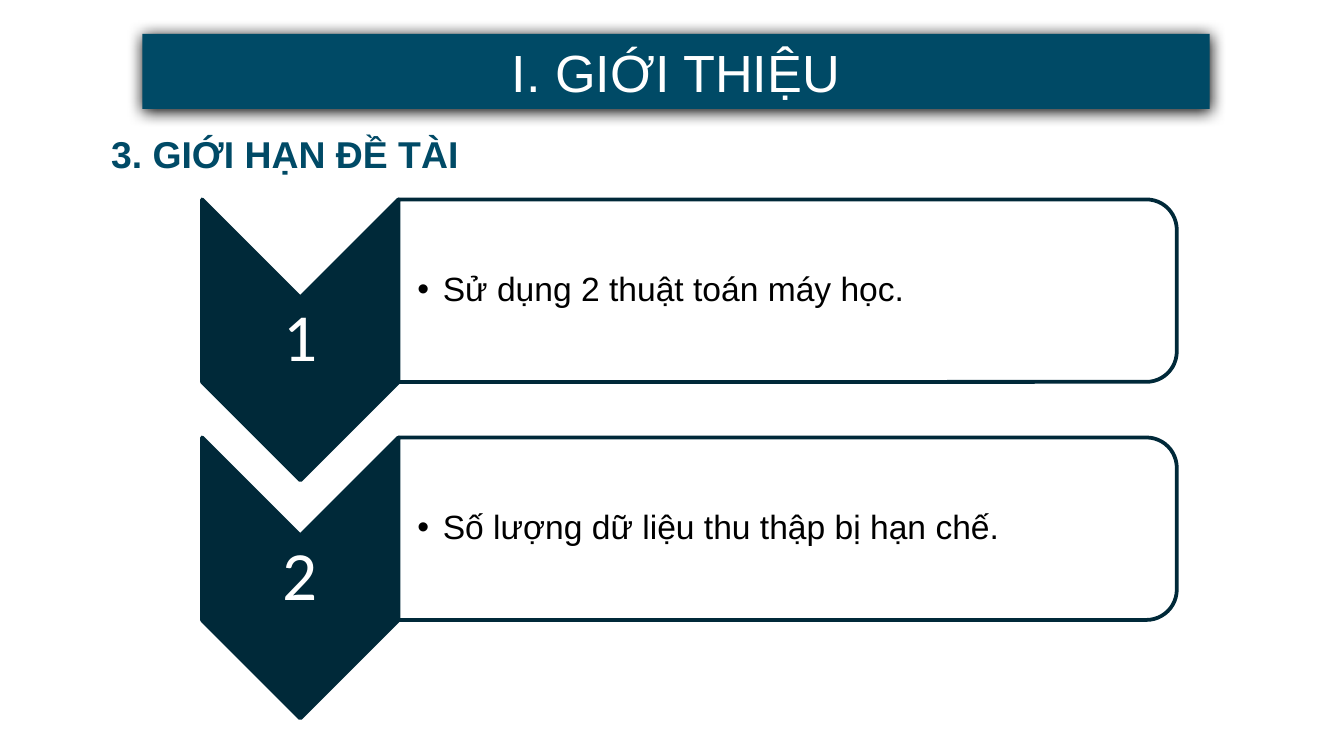
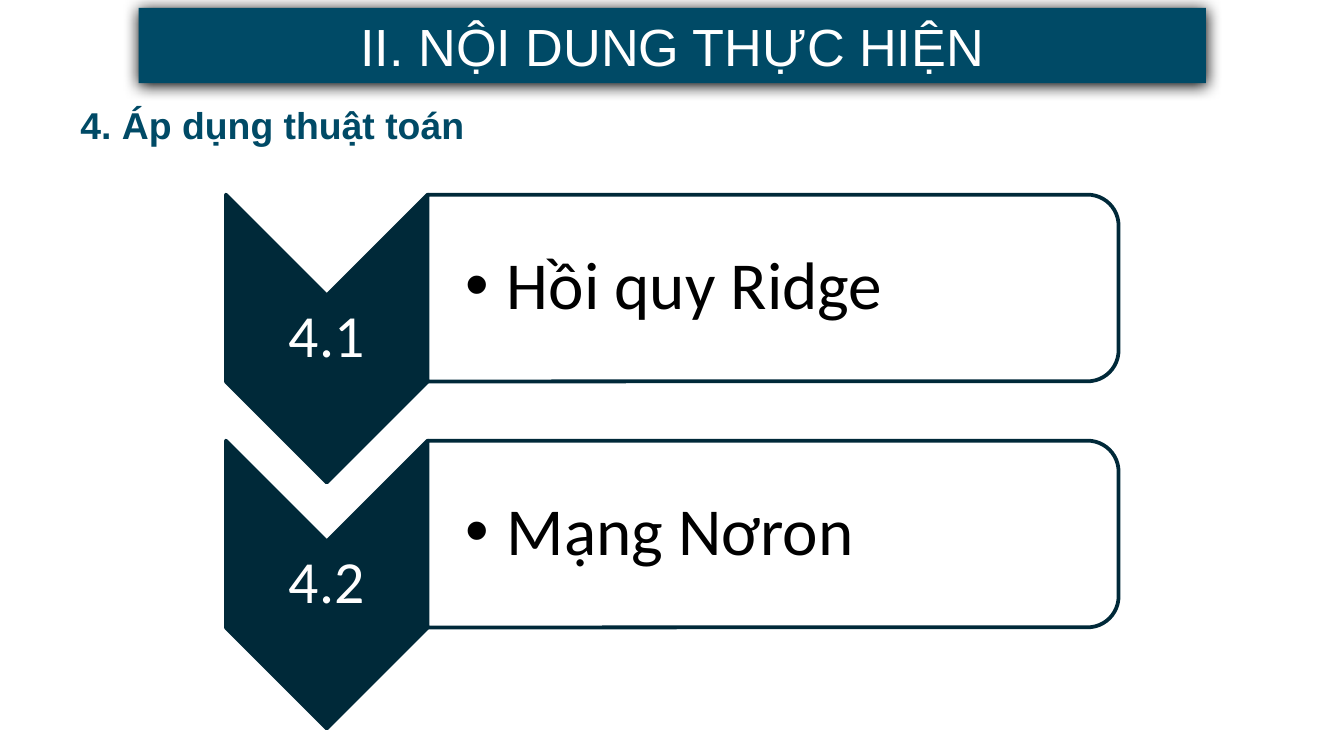
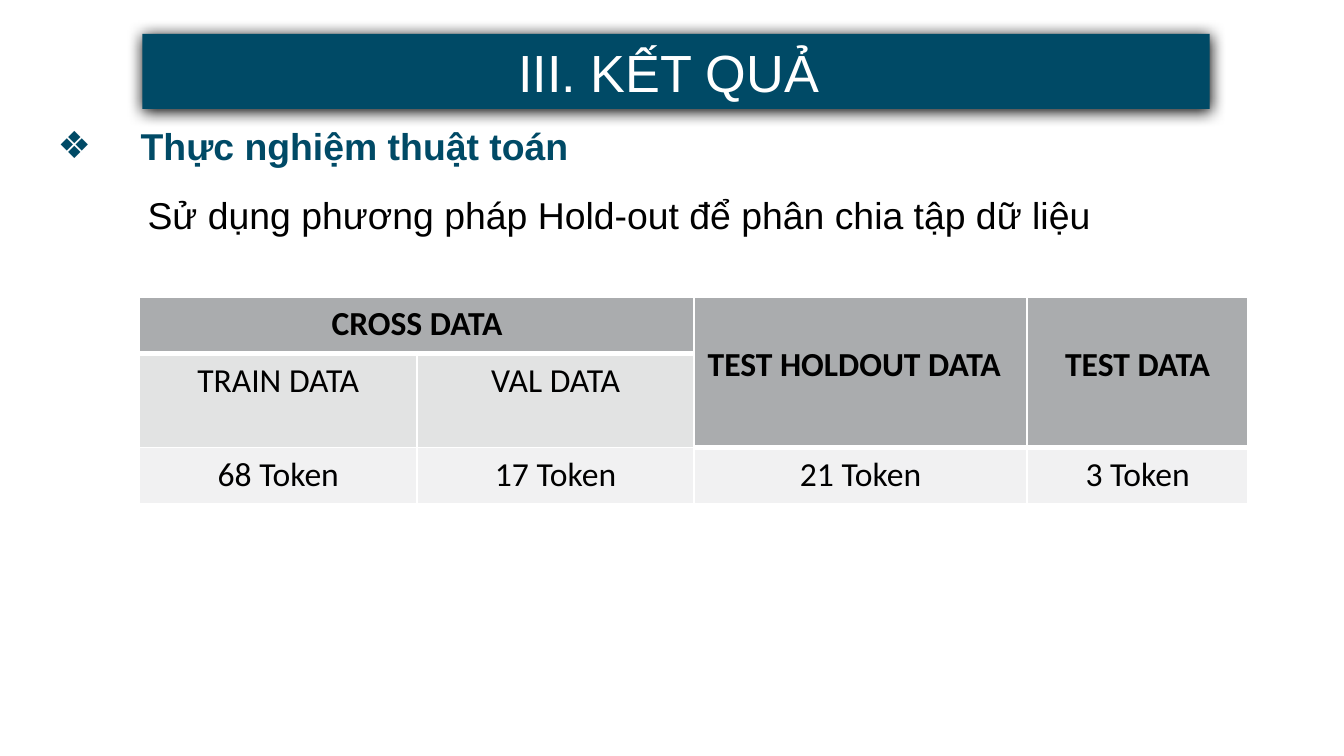
from dataclasses import dataclass

from lxml.etree import SubElement
from pptx import Presentation
from pptx.dml.color import RGBColor
from pptx.enum.shapes import MSO_SHAPE
from pptx.enum.text import MSO_ANCHOR, MSO_AUTO_SIZE, PP_ALIGN
from pptx.oxml.ns import qn
from pptx.util import Cm, Pt

CHEVRON = MSO_SHAPE.CHEVRON
CARD = MSO_SHAPE.ROUND_2_SAME_RECTANGLE
TOP, MIDDLE = MSO_ANCHOR.TOP, MSO_ANCHOR.MIDDLE
FIXED = MSO_AUTO_SIZE.NONE
LEFT, CENTER, JUSTIFY = PP_ALIGN.LEFT, PP_ALIGN.CENTER, PP_ALIGN.JUSTIFY

TEAL, NAVY, WHITE, BLACK = "004A66", "002939", "FFFFFF", "000000"
HEAD, LIGHT, PALE = "AAACAE", "E2E3E3", "F1F1F2"
ARIAL, CALIBRI = "Arial", "Calibri"
TITLE_ONLY = 5


@dataclass
class Font:
    face: str
    size: int
    color: str
    bold: bool = False


@dataclass
class Box:
    """Left, top, width and height in centimetres."""
    left: float
    top: float
    width: float
    height: float

    def lengths(self) -> tuple:
        return Cm(self.left), Cm(self.top), Cm(self.width), Cm(self.height)

    def turned(self) -> "Box":
        """The frame that covers this box once rotated by 90 degrees."""
        shift = (self.width - self.height) / 2
        return Box(self.left + shift, self.top - shift, self.height, self.width)


@dataclass
class Step:
    label: str
    text: str
    size: int


@dataclass
class Flow:
    """Looks of a column of chevrons with a card beside each."""
    arrow: Box
    card_width: float
    card_height: float
    pitch: float
    pad: float
    indent: float
    font: Font


@dataclass
class Cell:
    text: str
    fill: str
    align: PP_ALIGN = CENTER
    spacing: float = 1.0


HEADING = Font(ARIAL, 20, TEAL, True)
BODY = Font(ARIAL, 20, BLACK)
BANNER = Font(ARIAL, 28, WHITE)
HIGH_BAND = Box(2.62, 0.15, 20.17, 1.42)
BAND = Box(2.69, 0.64, 20.17, 1.42)

LIMITS = Flow(Box(3.82, 3.77, 3.71, 5.31), 14.71, 3.45, 4.5, 0.36, 0.48,
              Font(ARIAL, 18, BLACK))
METHODS = Flow(Box(4.27, 3.68, 3.81, 5.44), 13.06, 3.53, 4.65, 0.71, 0.79,
               Font(CALIBRI, 36, BLACK))

COLUMNS = (5.24, 5.24, 6.29, 4.18)
ROW = 1.07
GRID = (
    (Cell("CROSS DATA", HEAD), Cell("", HEAD),
     Cell("TEST HOLDOUT DATA", HEAD, JUSTIFY, 2.0),
     Cell("TEST DATA", HEAD, CENTER, 2.0)),
    (Cell("TRAIN DATA", LIGHT), Cell("VAL DATA", LIGHT),
     Cell("", HEAD), Cell("", HEAD)),
    tuple(Cell(f"{count} Token", PALE) for count in (68, 17, 21, 3)),
)
MERGES = (((0, 0), (0, 1)), ((0, 2), (1, 2)), ((0, 3), (1, 3)))


def tint(code: str) -> RGBColor:
    return RGBColor.from_string(code)


def write(frame, text: str, font: Font, align=LEFT, spacing: float = 1.0):
    frame.text = text
    par = frame.paragraphs[0]
    par.alignment = align
    par.line_spacing = spacing
    for run in par.runs:
        run.font.name = font.face
        run.font.size = Pt(font.size)
        run.font.bold = font.bold
        run.font.color.rgb = tint(font.color)
    return par


def pad(frame, left: float, rest: float) -> None:
    frame.margin_left = Cm(left)
    frame.margin_top = frame.margin_right = frame.margin_bottom = Cm(rest)


def bullet(par, mark: str, indent: float) -> None:
    props = par._p.get_or_add_pPr()
    props.set("marL", str(Cm(indent)))
    props.set("indent", str(-Cm(indent)))
    SubElement(props, qn("a:buFont"), typeface=ARIAL)
    SubElement(props, qn("a:buChar"), char=mark)


def add_text(slide, box: Box, text: str, font: Font, align=LEFT,
             anchor=TOP, spacing: float = 1.0):
    frame = slide.shapes.add_textbox(*box.lengths()).text_frame
    frame.word_wrap = True
    frame.vertical_anchor = anchor
    return frame, write(frame, text, font, align, spacing)


def cast_shadow(shape) -> None:
    shape.shadow.inherit = False
    effects = shape._element.spPr.find(qn("a:effectLst"))
    outer = SubElement(effects, qn("a:outerShdw"), blurRad=str(Pt(8.5)),
                       dist=str(Pt(1)), dir="5400000")
    SubElement(outer, qn("a:srgbClr"), val=BLACK)


def add_slide(deck, title: str, band: Box):
    slide = deck.slides.add_slide(deck.slide_layouts[TITLE_ONLY])
    shape = slide.shapes.title
    shape.left, shape.top, shape.width, shape.height = band.lengths()
    shape.fill.solid()
    shape.fill.fore_color.rgb = tint(TEAL)
    shape.line.fill.background()
    cast_shadow(shape)
    frame = shape.text_frame
    frame.auto_size = FIXED
    frame.word_wrap = True
    frame.vertical_anchor = MIDDLE
    pad(frame, 0.15, 0.15)
    write(frame, title, BANNER, CENTER)
    return slide


def add_turned(slide, kind, box: Box, fill: str):
    shape = slide.shapes.add_shape(kind, *box.turned().lengths())
    shape.rotation = 90
    shape.shadow.inherit = False
    shape.fill.solid()
    shape.fill.fore_color.rgb = tint(fill)
    shape.line.color.rgb = tint(NAVY)
    shape.line.width = Pt(2)


def add_flow(slide, flow: Flow, steps: tuple[Step, ...]) -> None:
    first = flow.arrow
    for row, step in enumerate(steps):
        top = first.top + row * flow.pitch
        arrow = Box(first.left, top, first.width, first.height)
        add_turned(slide, CHEVRON, arrow, NAVY)
        core = Box(first.left, top + first.width / 2,
                   first.width, first.height - first.width)
        frame, _ = add_text(slide, core, step.label,
                            Font(CALIBRI, step.size, WHITE), CENTER, MIDDLE, 0.9)
        pad(frame, 0.06, 0.06)

        card = Box(first.left + first.width, top,
                   flow.card_width, flow.card_height)
        add_turned(slide, CARD, card, WHITE)
        frame, par = add_text(slide, card, step.text, flow.font,
                              anchor=MIDDLE, spacing=0.9)
        pad(frame, flow.pad, 0.05)
        bullet(par, "•", flow.indent)


def edge(cell, side: str, width: float) -> None:
    line = SubElement(cell._tc.get_or_add_tcPr(), qn(f"a:ln{side}"),
                      w=str(Pt(width)))
    paint = SubElement(line, qn("a:solidFill"))
    SubElement(paint, qn("a:srgbClr"), val=WHITE)


def add_grid(slide, left: float, top: float) -> None:
    box = Box(left, top, sum(COLUMNS), ROW * len(GRID))
    table = slide.shapes.add_table(len(GRID), len(COLUMNS), *box.lengths()).table
    table.first_row = table.horz_banding = False
    for column, width in zip(table.columns, COLUMNS):
        column.width = Cm(width)
    for start, end in MERGES:
        table.cell(*start).merge(table.cell(*end))
    for row, items in enumerate(GRID):
        table.rows[row].height = Cm(ROW)
        for col, item in enumerate(items):
            cell = table.cell(row, col)
            below = row > 0 and GRID[row - 1][col].fill == HEAD
            edge(cell, "L", 1)
            edge(cell, "R", 1)
            edge(cell, "T", 3 if below else 1)
            edge(cell, "B", 3 if item.fill == HEAD else 1)
            cell.fill.solid()
            cell.fill.fore_color.rgb = tint(item.fill)
            font = Font(CALIBRI, 18, BLACK, item.fill == HEAD)
            if item.text:
                write(cell.text_frame, item.text, font, item.align, item.spacing)


def limits(deck) -> None:
    slide = add_slide(deck, "I. GIỚI THIỆU", BAND)
    add_text(slide, Box(1.85, 2.36, 7.47, 1.12), "3. GIỚI HẠN ĐỀ TÀI", HEADING)
    add_flow(slide, LIMITS, (
        Step("1", "Sử dụng 2 thuật toán máy học.", 36),
        Step("2", "Số lượng dữ liệu thu thập bị hạn chế.", 37),
    ))


def methods(deck) -> None:
    slide = add_slide(deck, "II. NỘI DUNG THỰC HIỆN", HIGH_BAND)
    add_text(slide, Box(1.27, 1.8, 11.38, 1.12), "4. Áp dụng thuật toán", HEADING)
    add_flow(slide, METHODS, (
        Step("4.1", "Hồi quy Ridge", 32),
        Step("4.2", "Mạng Nơron", 32),
    ))


def results(deck) -> None:
    slide = add_slide(deck, "III. KẾT QUẢ ", BAND)
    _, par = add_text(slide, Box(0.84, 2.21, 23.5, 1.96),
                      "Thực nghiệm thuật toán", HEADING)
    bullet(par, "❖", 1.57)
    add_text(slide, Box(2.54, 3.51, 20.12, 1.12),
             "Sử dụng phương pháp Hold-out để phân chia tập dữ liệu",
             BODY, JUSTIFY)
    add_grid(slide, 2.64, 5.61)


def main() -> None:
    deck = Presentation()
    deck.slide_width, deck.slide_height = Cm(25.4), Cm(14.29)
    limits(deck)
    methods(deck)
    results(deck)
    deck.save("out.pptx")


if __name__ == "__main__":
    main()
